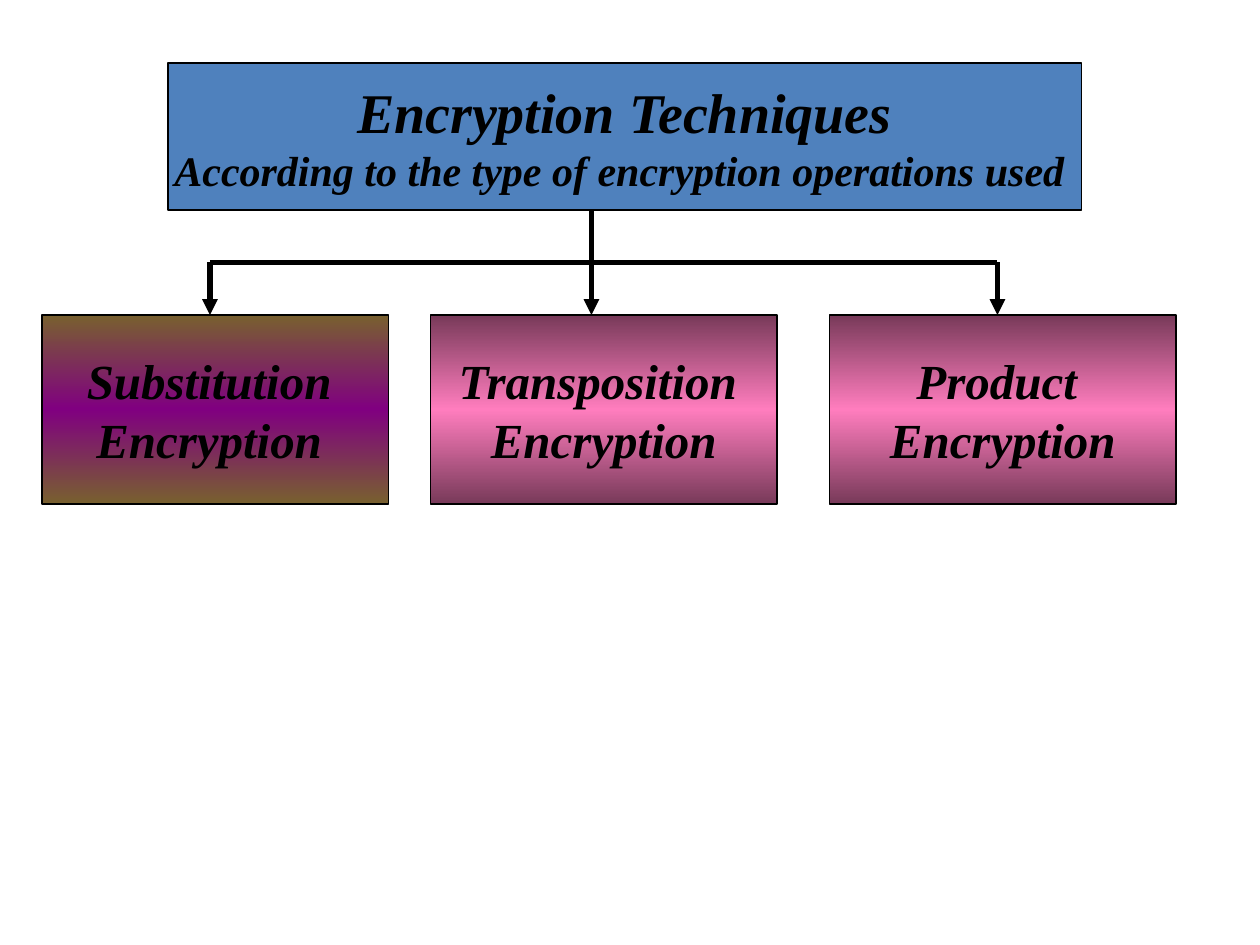
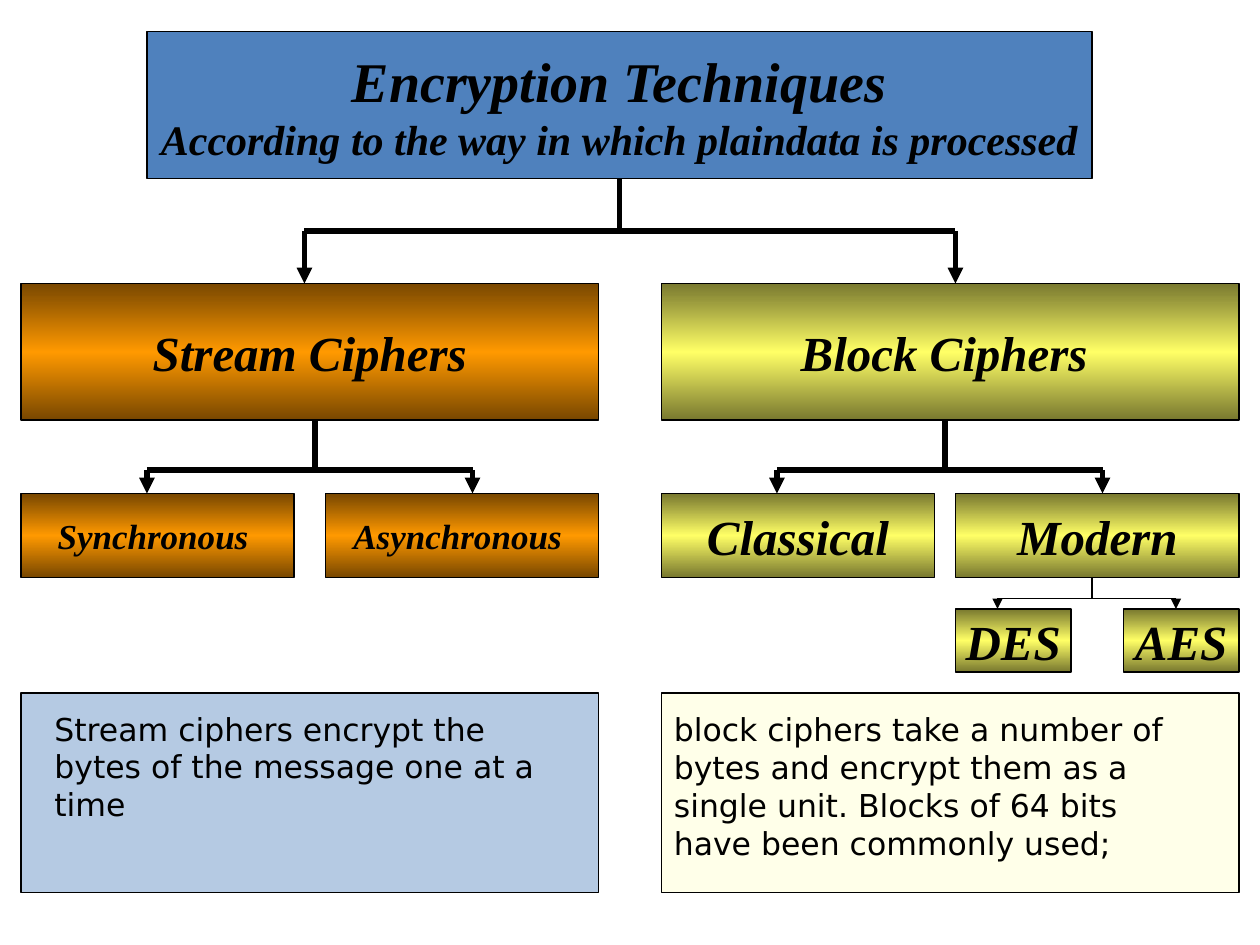
from copy import deepcopy

from lxml.etree import SubElement
from pptx import Presentation
from pptx.dml.color import RGBColor
from pptx.enum.shapes import MSO_CONNECTOR as Connector, MSO_SHAPE as Shape
from pptx.enum.text import MSO_ANCHOR as Anchor, PP_ALIGN as Align
from pptx.oxml.ns import qn
from pptx.util import Pt

COLORS = {
    "ink": "000000",
    "title": "4F81BD",
    "cream": "FFFFCC",
}
# Edge and middle colours of the banded gradients
GRADIENTS = {
    "purple": ("78602F", "800080"),
    "pink": ("783A59", "FF7DBE"),
    "orange": ("784700", "FF9900"),
    "yellow": ("78782F", "FFFF66"),
}
HEADING_FONT = "Times New Roman"
BODY_FONT = "DejaVu Sans"
THIN, THICK = 0.75, 3


def rgb(name):
    return RGBColor.from_string(COLORS[name])


def add_box(slide, left, top, width, height):
    """Rectangle with a thin black outline."""
    shape = slide.shapes.add_shape(
        Shape.RECTANGLE, Pt(left), Pt(top), Pt(width), Pt(height))
    shape.shadow.inherit = False
    shape.line.color.rgb = rgb("ink")
    shape.line.width = Pt(THIN)
    return shape


def fill_solid(shape, color, opacity=100):
    shape.fill.solid()
    shape.fill.fore_color.rgb = rgb(color)
    if opacity < 100:
        color_element = shape.fill._xPr.find(qn("a:solidFill"))[0]
        SubElement(color_element, qn("a:alpha"), val=str(opacity * 1000))


def fill_gradient(shape, name):
    """Vertical gradient: edge, middle, edge."""
    edge, middle = GRADIENTS[name]
    shape.fill.gradient()
    shape.fill.gradient_angle = 90
    stop_list = shape._element.spPr.find(qn("a:gradFill")).find(qn("a:gsLst"))
    stop_list.append(deepcopy(stop_list[0]))
    values = zip((0, 0.5, 1), (edge, middle, edge))
    for stop, (position, color) in zip(shape.fill.gradient_stops, values):
        stop.position = position
        stop.color.rgb = RGBColor.from_string(color)


def set_heading(shape, lines, sizes):
    """Centred bold italic lines, one size for each line."""
    frame = shape.text_frame
    frame.text = "\n".join(lines)
    frame.word_wrap = False
    frame.vertical_anchor = Anchor.MIDDLE
    for paragraph, size in zip(frame.paragraphs, sizes):
        paragraph.alignment = Align.CENTER
        for run in paragraph.runs:
            font = run.font
            font.name, font.size = HEADING_FONT, Pt(size)
            font.bold = font.italic = True
            font.color.rgb = rgb("ink")


def add_title(slide, left, top, width, subtitle):
    box = add_box(slide, left, top, width, 84)
    fill_solid(box, "title")
    set_heading(box, ["Encryption Techniques", subtitle], [32, 24])


def add_node(slide, bounds, gradient, *lines, size=28):
    box = add_box(slide, *bounds)
    fill_gradient(box, gradient)
    set_heading(box, lines, [size] * len(lines))


def add_line(slide, start, end, width, arrow=False):
    line = slide.shapes.add_connector(
        Connector.STRAIGHT, *(Pt(value) for value in (*start, *end)))
    line.line.color.rgb = rgb("ink")
    line.line.width = Pt(width)
    properties = line._element.spPr
    if arrow:
        SubElement(properties.find(qn("a:ln")), qn("a:tailEnd"), type="triangle")
    SubElement(properties, qn("a:effectLst"))


def add_branches(slide, stem, top, bar, bottom, children, width=THICK):
    """Stem from a parent, a crossbar, and an arrow down to each child."""
    add_line(slide, (stem, top), (stem, bar), width)
    add_line(slide, (children[0], bar), (children[-1], bar), width)
    for child in children:
        add_line(slide, (child, bar), (child, bottom), width, arrow=True)


def add_note(slide, left, color, text, text_bounds, anchor):
    """Tinted panel with a wrapped explanation over it."""
    fill_solid(add_box(slide, left, 396, 330, 114), color, opacity=42)
    text_box = slide.shapes.add_textbox(*(Pt(value) for value in text_bounds))
    frame = text_box.text_frame
    frame.text = text
    frame.word_wrap = True
    frame.vertical_anchor = anchor
    font = frame.paragraphs[0].runs[0].font
    font.name, font.size = BODY_FONT, Pt(18)
    font.color.rgb = rgb("ink")


def build_operations_slide(slide):
    add_title(slide, 96, 36, 522,
              "According to the type of encryption operations used ")
    for left, gradient, first, second in (
            (24, "purple", "Substitution ", "Encryption "),
            (246, "pink", "Transposition ", "Encryption"),
            (474, "pink", "Product ", "Encryption")):
        add_node(slide, (left, 180, 198, 108), gradient, first, second)
    add_branches(slide, 338, 120, 150, 180, (120, 338, 570))


def build_processing_slide(slide):
    add_title(slide, 84, 18, 540,
              "According to the way in which plaindata is processed")
    add_branches(slide, 354, 102, 132, 162, (174, 546))

    # Cipher families and their kinds
    for left, gradient, family, kinds, size in (
            (12, "orange", "Stream Ciphers",
             (("Synchronous ", 0, 156), ("Asynchronous ", 174, 156)), 20),
            (378, "yellow", "Block Ciphers ",
             (("Classical", 0, 156), ("Modern", 168, 162)), 28)):
        add_node(slide, (left, 162, 330, 78), gradient, family)
        for kind, offset, width in kinds:
            add_node(slide, (left + offset, 282, width, 48), gradient, kind,
                     size=size)
    for stem in (180, 540):
        add_branches(slide, stem, 240, 268.5, 282, (stem - 96, stem + 90))

    # Modern block ciphers
    for left, name in ((546, "DES"), (642, "AES")):
        add_node(slide, (left, 348, 66, 36), "yellow", name)
    add_branches(slide, 624, 330, 342, 348, (570, 672), THIN)

    # Explanations
    add_note(slide, 12, "title",
             "Stream ciphers encrypt the bytes of the message one at a time",
             (24, 402, 306, 72), Anchor.TOP)
    add_note(slide, 378, "cream",
             "block ciphers take a number of bytes and encrypt them as a "
             "single unit. Blocks of 64 bits have been commonly used;",
             (378, 402, 312, 94), Anchor.MIDDLE)


def main():
    presentation = Presentation()
    presentation.slide_width, presentation.slide_height = Pt(720), Pt(540)
    blank = presentation.slide_layouts[6]
    for build in (build_operations_slide, build_processing_slide):
        build(presentation.slides.add_slide(blank))
    presentation.save("out.pptx")


if __name__ == "__main__":
    main()
